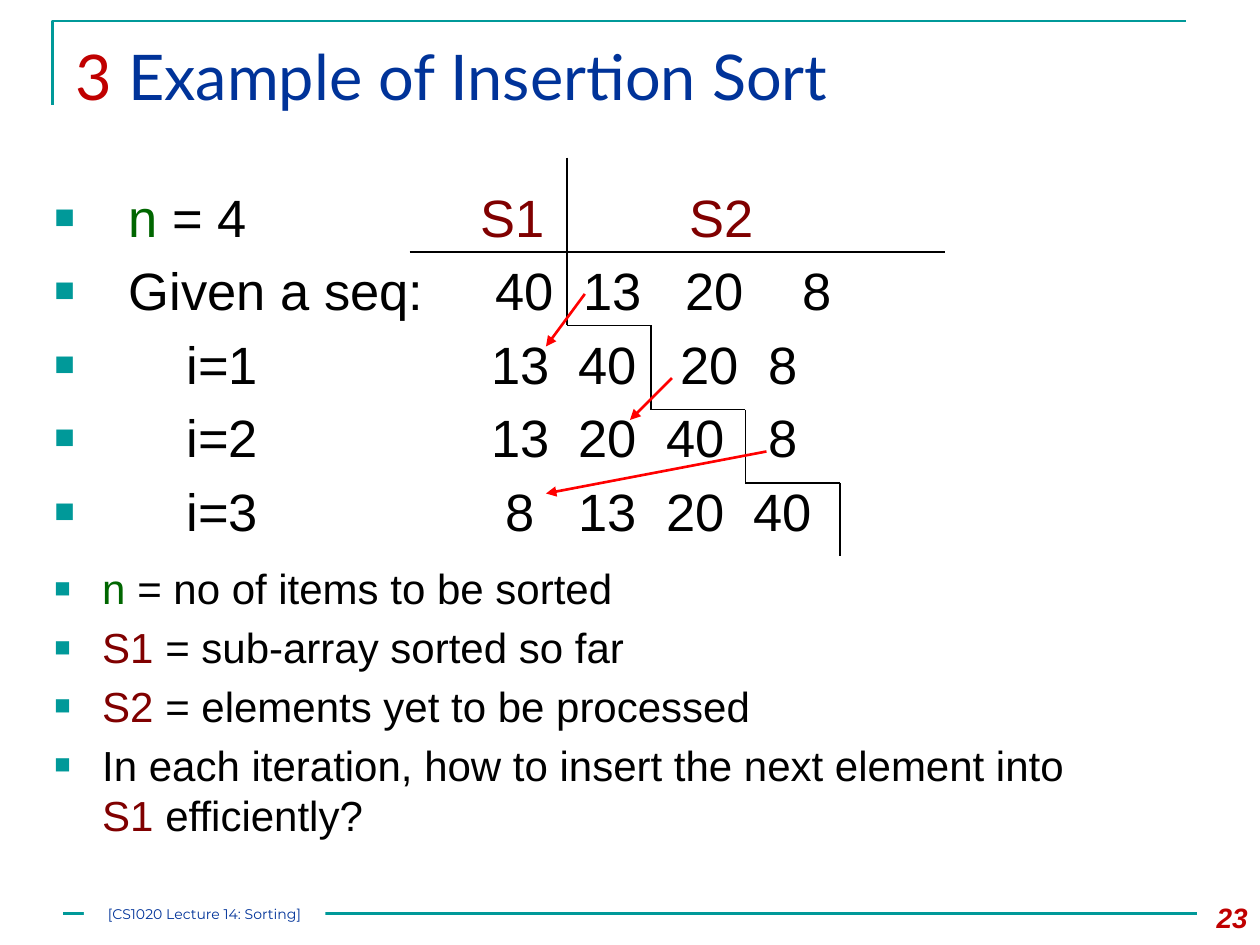
from lxml import etree
from pptx import Presentation, util as u
from pptx.dml.color import RGBColor
from pptx.enum import shapes, text
from pptx.oxml import ns

COLORS = {"teal": "009999", "navy": "003399", "crimson": "C00000", "maroon": "800000",
          "green": "006600", "black": "000000", "red": "FF0000", "white": "FFFFFF"}

presentation = Presentation()
presentation.slide_width, presentation.slide_height = u.Inches(10), u.Inches(7.5)
slide = presentation.slides.add_slide(presentation.slide_layouts[6])
column = presentation.slide_width / 120
row = presentation.slide_height / 90


def add_run(paragraph, wording, size, color, font="Arial"):
    run = paragraph.add_run()
    run.text = wording
    run.font.size, run.font.name = u.Pt(size), font
    run.font.color.rgb = RGBColor.from_string(COLORS[color])
    return run


def add_line(start, end, color="black", width=0.75, arrow=False):
    line = slide.shapes.add_connector(
        shapes.MSO_CONNECTOR.STRAIGHT, int(start[0] * column), int(start[1] * row),
        int(end[0] * column), int(end[1] * row))
    line.line.color.rgb = RGBColor.from_string(COLORS[color])
    line.line.width = u.Pt(width)
    if arrow:
        etree.SubElement(line.line._get_or_add_ln(), ns.qn("a:tailEnd"), type="triangle")
    etree.SubElement(line._element.spPr, ns.qn("a:effectLst"))


builder = slide.shapes.build_freeform(int(5 * column), int(10 * row))
builder.add_line_segments([(int(5 * column), int(2 * row)),
                           (int(113 * column), int(2 * row))], close=False)
corner = builder.convert_to_shape()
corner.shadow.inherit = False
corner.fill.background()
corner.line.color.rgb = RGBColor.from_string(COLORS["teal"])
corner.line.width = u.Pt(1.5)
add_line((6, 87), (114, 87), "teal", 1.5)

frames = []
for left, top, width, height in [(6, 3, 108, 12), (112, 85.2, 8, 4.8), (4, 17, 102, 65)]:
    box = slide.shapes.add_textbox(int(left * column), int(top * row),
                                   int(width * column), int(height * row))
    box.text_frame.word_wrap = True
    frames.append(box.text_frame)
title, number, body = frames

add_run(title.paragraphs[0], "3 ", 36, "crimson", "Lato")
add_run(title.paragraphs[0], "Example of Insertion Sort", 36, "navy", "Lato")
number.paragraphs[0].alignment = text.PP_ALIGN.RIGHT
page = add_run(number.paragraphs[0], "23", 16, "crimson")
page.font.bold = page.font.italic = True

trace = [
    ([("n", "green"), (" = 4\t", "black"), ("S1\tS2", "maroon")], [3.38, 5.04]),
    ([("Given a seq:\t40\t13\t20\t8", "black")], [3.5, 4.2, 5.01, 5.94]),
    ([("\ti=1\t13\t40\t20\t8", "black")], [1.05, 3.47, 4.16, 4.97, 5.67]),
    ([("\ti=2\t13\t20\t40\t8", "black")], [1.05, 3.47, 4.16, 4.86, 5.67]),
    ([("\ti=3\t8\t13\t20\t40", "black")], [1.05, 3.58, 4.16, 4.86, 5.55]),
]
legend = [
    [("n ", "green"), ("= no of items to be sorted", "black")],
    [("S1", "maroon"), (" = sub-array sorted so far", "black")],
    [("S2", "maroon"), (" = elements yet to be processed", "black")],
    [("In each iteration, how to insert the next element into ", "black"),
     ("S1", "maroon"), (" efficiently?", "black")],
]
bullets = ([(runs, tabs, 30, 0.59) for runs, tabs in trace]
           + [(runs, [], 24, 0.38) for runs in legend])
for index, (runs, tabs, size, indent) in enumerate(bullets):
    paragraph = body.add_paragraph() if index else body.paragraphs[0]
    properties = paragraph._p.get_or_add_pPr()
    properties.set("marL", str(u.Inches(indent)))
    properties.set("indent", str(-u.Inches(indent)))
    spacing = ('<a:spcPts val="1200"/>' if index == len(trace)
               else '<a:spcPct val="20000"/>')
    stops = "".join(f'<a:tab pos="{u.Inches(tab)}" algn="l"/>' for tab in tabs)
    settings = etree.fromstring(
        f'<a:pPr {ns.nsdecls("a")}><a:spcBef>{spacing}</a:spcBef>'
        f'<a:buClr><a:srgbClr val="{COLORS["teal"]}"/></a:buClr>'
        '<a:buSzPct val="65000"/><a:buFont typeface="Arial"/><a:buChar char="■"/>'
        f'<a:tabLst>{stops}</a:tabLst></a:pPr>')
    properties.extend(list(settings))
    for wording, color in runs:
        add_run(paragraph, wording, size, color)

add_line((39, 24), (90, 24))
add_line((54, 15), (54, 31))
stairs = [(54, 31), (62, 31), (62, 39), (71, 39), (71, 46), (80, 46), (80, 53)]
for start, end in zip(stairs, stairs[1:]):
    add_line(start, end)
for start, end in [((55.7, 28), (52, 33)), ((64, 36), (60, 40)), ((73, 43), (52, 47))]:
    add_line(start, end, "red", 1.5, True)

footer = slide.shapes.add_shape(shapes.MSO_SHAPE.RECTANGLE, int(8 * column), int(86 * row),
                                int(23 * column), int(2 * row))
footer.shadow.inherit = False
footer.fill.solid()
footer.fill.fore_color.rgb = RGBColor.from_string(COLORS["white"])
footer.line.fill.background()
label = footer.text_frame
label.margin_left = label.margin_right = label.margin_top = label.margin_bottom = 0
label.vertical_anchor = text.MSO_ANCHOR.MIDDLE
label.paragraphs[0].alignment = text.PP_ALIGN.CENTER
add_run(label.paragraphs[0], "[CS1020 Lecture 14: Sorting]", 8, "navy", "Montserrat")

presentation.save("out.pptx")
